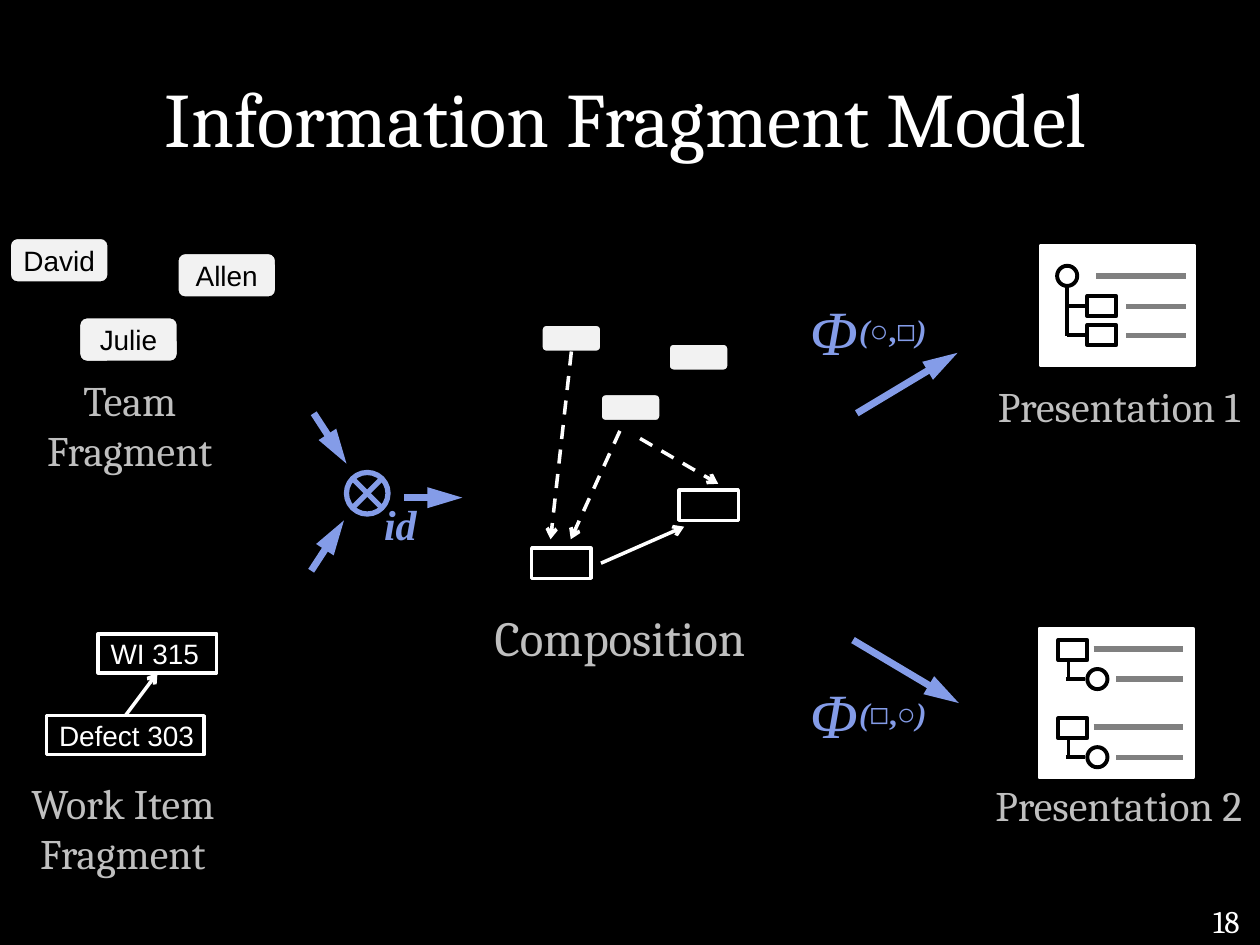
from lxml import etree
from pptx import Presentation
from pptx.dml.color import RGBColor
from pptx.enum.dml import MSO_LINE
from pptx.enum.shapes import MSO_CONNECTOR, MSO_SHAPE
from pptx.enum.text import MSO_ANCHOR, PP_ALIGN
from pptx.oxml.ns import qn
from pptx.util import Inches, Pt

STRAIGHT = MSO_CONNECTOR.STRAIGHT
RECT, ROUNDED, OVAL = MSO_SHAPE.RECTANGLE, MSO_SHAPE.ROUNDED_RECTANGLE, MSO_SHAPE.OVAL
JUNCTION = MSO_SHAPE.FLOWCHART_SUMMING_JUNCTION
LEFT, CENTER = PP_ALIGN.LEFT, PP_ALIGN.CENTER
TOP, MIDDLE = MSO_ANCHOR.TOP, MSO_ANCHOR.MIDDLE
DASH = MSO_LINE.DASH
SITE_TOP, SITE_LEFT, SITE_BOTTOM = 0, 1, 2

BLACK, WHITE, CHIP, LABEL, BLUE, GREY = "000000", "FFFFFF", "F2F2F2", "BFBFBF", "849CE8", "808080"
HEADING, BODY, FORMULA = "Cambria", "Arial", "Times New Roman"


def color(value):
    return RGBColor.from_string(value)


def write(shape, spans, align=LEFT, anchor=TOP, wrap=True):
    """Fill a shape with one paragraph of (text, font, size, colour, bold, italic) spans."""
    frame = shape.text_frame
    frame.word_wrap = wrap
    frame.vertical_anchor = anchor
    para = frame.paragraphs[0]
    para.alignment = align
    for text, font, size, ink, bold, italic in spans:
        span = para.add_run()
        span.text = text
        span.font.name = font
        span.font.size = Pt(size)
        span.font.color.rgb = color(ink)
        span.font.bold = bold
        span.font.italic = italic


def add_text(page, left, top, width, height, spans, **layout):
    box = page.shapes.add_textbox(Inches(left), Inches(top), Inches(width), Inches(height))
    write(box, spans, **layout)


def add_label(page, left, top, width, height, text, size=24, ink=LABEL, align=CENTER, **layout):
    spans = [(text, HEADING, size, ink, False, False)]
    add_text(page, left, top, width, height, spans, align=align, **layout)


def add_shape(page, kind, left, top, width, height, line, weight, fill=None):
    shape = page.shapes.add_shape(kind, Inches(left), Inches(top), Inches(width), Inches(height))
    shape.shadow.inherit = False
    if fill:
        shape.fill.solid()
        shape.fill.fore_color.rgb = color(fill)
    else:
        shape.fill.background()
    shape.line.color.rgb = color(line)
    shape.line.width = Pt(weight)
    return shape


def add_line(page, start, end, ink, weight, head=None, dash=None):
    line = page.shapes.add_connector(STRAIGHT, *(Inches(value) for value in (*start, *end)))
    line.line.color.rgb = color(ink)
    line.line.width = Pt(weight)
    if dash:
        line.line.dash_style = dash
    properties = line._element.spPr
    if head:
        length = "lg" if head == "triangle" else "med"
        etree.SubElement(properties.find(qn("a:ln")), qn("a:tailEnd"), type=head, w="med", len=length)
    etree.SubElement(properties, qn("a:effectLst"))
    return line


def add_chip(page, left, top, width, height, name=None):
    chip = add_shape(page, ROUNDED, left, top, width, height, BLACK, 1, CHIP)
    if name:
        write(chip, [(name, BODY, 16, BLACK, False, False)], CENTER, MIDDLE, wrap=False)
    return chip


def add_item(page, left, top, width, height, name=None):
    item = add_shape(page, RECT, left, top, width, height, WHITE, 2)
    if name:
        write(item, [(name, BODY, 16, WHITE, False, False)], LEFT, MIDDLE, wrap=False)
    return item


def add_team_fragment(page, left, top):
    for name, x, y in (("David", 0, 0), ("Julie", 0.55, 0.63), ("Allen", 1.33, 0.12)):
        add_chip(page, left + x, top + y, 0.78, 0.35, name)
    add_label(page, left, top + 1.03, 1.9, 0.91, "Team Fragment")


def add_work_item_fragment(page, left, top):
    work_item = add_item(page, left + 0.78, top, 0.94, 0.31, "WI 315")
    defect = add_item(page, left + 0.37, top + 0.65, 1.25, 0.31, "Defect 303")
    link = add_line(page, (left + 0.99, top + 0.65), (left + 1.25, top + 0.31), WHITE, 2, "arrow")
    link.begin_connect(defect, SITE_TOP)
    link.end_connect(work_item, SITE_BOTTOM)
    add_label(page, left, top + 1.09, 1.95, 0.91, "Work Item Fragment")


def add_join(page, left, top):
    """Operator that joins both fragments by id."""
    add_shape(page, JUNCTION, left + 0.28, top + 0.47, 0.33, 0.33, BLUE, 3)
    add_text(page, left + 0.48, top + 0.63, 0.46, 0.5,
             [("id", FORMULA, 24, BLUE, True, True)], wrap=False)
    for x1, y1, x2, y2 in ((0.02, 0, 0.28, 0.4), (0, 1.25, 0.26, 0.85), (0.74, 0.67, 1.2, 0.67)):
        add_line(page, (left + x1, top + y1), (left + x2, top + y2), BLUE, 4, "triangle")


def add_composition(page, left, top):
    david, *_ = [add_chip(page, left + x, top + y, 0.47, 0.21)
                 for x, y in ((0.55, 0), (1.02, 0.55), (1.56, 0.15))]
    for x, y in ((0.47, 1.77), (1.64, 1.31)):
        add_item(page, left + x, top + y, 0.47, 0.24)
    links = [add_line(page, (left + x1, top + y1), (left + x2, top + y2), WHITE, 2, "arrow", dash)
             for x1, y1, x2, y2, dash in ((0.78, 0.21, 0.62, 1.7, DASH),
                                          (1.17, 0.84, 0.78, 1.7, DASH),
                                          (1.33, 0.9, 1.95, 1.26, DASH),
                                          (1.02, 1.89, 1.68, 1.6, None))]
    links[0].begin_connect(david, SITE_BOTTOM)
    add_label(page, left, top + 2.19, 2.34, 0.57, "Composition", 28)


def add_projection(page, left, top, symbols, start, end):
    add_text(page, left, top, 0.49, 0.71, [("Φ", FORMULA, 36, BLUE, False, True)], wrap=False)
    spans = [(text, FORMULA, 18, BLUE, True, italic)
             for text, italic in (("(", True), (symbols, False), (")", True))]
    add_text(page, left + 0.39, top + 0.15, 1.02, 0.4, spans)
    add_line(page, start, end, BLUE, 4, "triangle")


def add_panel(page, left, top, height):
    add_shape(page, RECT, left, top, 1.22, height, WHITE, 2.25, WHITE)


def add_node(page, kind, left, top):
    width = 0.16 if kind == OVAL else 0.23
    return add_shape(page, kind, left, top, width, 0.16, BLACK, 2.25)


def add_branch(page, start, end):
    return add_line(page, start, end, BLACK, 2.25)


def add_entry(page, left, right, y):
    add_line(page, (left, y), (right, y), GREY, 3)


def add_single_tree(page, left, top):
    """One circle with two boxes below it."""
    add_panel(page, left, top, 0.95)
    trunk, right = left + 0.21, left + 1.15
    add_node(page, OVAL, left + 0.13, top + 0.16)
    add_entry(page, left + 0.44, right, top + 0.24)
    add_branch(page, (trunk, top + 0.33), (trunk, top + 0.72))
    for y in (top + 0.48, top + 0.71):
        leaf = add_node(page, RECT, left + 0.37, y - 0.08)
        add_branch(page, (trunk, y), (left + 0.37, y)).end_connect(leaf, SITE_LEFT)
        add_entry(page, left + 0.68, right, y)
    add_label(page, left - 0.53, top + 1.02, 2.3, 0.51, "Presentation 1", wrap=False)


def add_double_tree(page, left, top):
    """Two boxes, each with one circle below it."""
    add_panel(page, left, top, 1.18)
    trunk, right = left + 0.23, left + 1.14
    for y in (top + 0.09, top + 0.71):
        add_node(page, RECT, left + 0.15, y)
        add_node(page, OVAL, left + 0.38, y + 0.23)
        add_branch(page, (trunk, y + 0.15), (trunk, y + 0.31))
        add_branch(page, (trunk - 0.02, y + 0.31), (left + 0.36, y + 0.31))
        add_entry(page, left + 0.43, right, y + 0.07)
        add_entry(page, left + 0.61, right, y + 0.31)
    add_label(page, left - 0.52, top + 1.15, 2.3, 0.51, "Presentation 2", wrap=False)


def main():
    deck = Presentation()
    deck.slide_width, deck.slide_height = Inches(10), Inches(7.5)
    page = deck.slides.add_slide(deck.slide_layouts[6])
    page.background.fill.solid()
    page.background.fill.fore_color.rgb = color(BLACK)

    add_label(page, 0.47, 0.3, 9, 1.25, "Information Fragment Model", 44, WHITE, anchor=MIDDLE)
    add_team_fragment(page, 0.08, 1.89)
    add_work_item_fragment(page, 0, 5.03)
    add_join(page, 2.47, 3.28)
    add_composition(page, 3.75, 2.58)
    add_projection(page, 6.33, 2.27, "○,◻", (6.8, 3.28), (7.6, 2.8))
    add_projection(page, 6.33, 5.31, "◻,○", (6.77, 5.08), (7.61, 5.58))
    add_single_tree(page, 8.26, 1.95)
    add_double_tree(page, 8.25, 4.99)
    add_label(page, 9.53, 7.11, 0.63, 0.4, "18", 18, WHITE, LEFT)
    deck.save("out.pptx")


if __name__ == "__main__":
    main()
